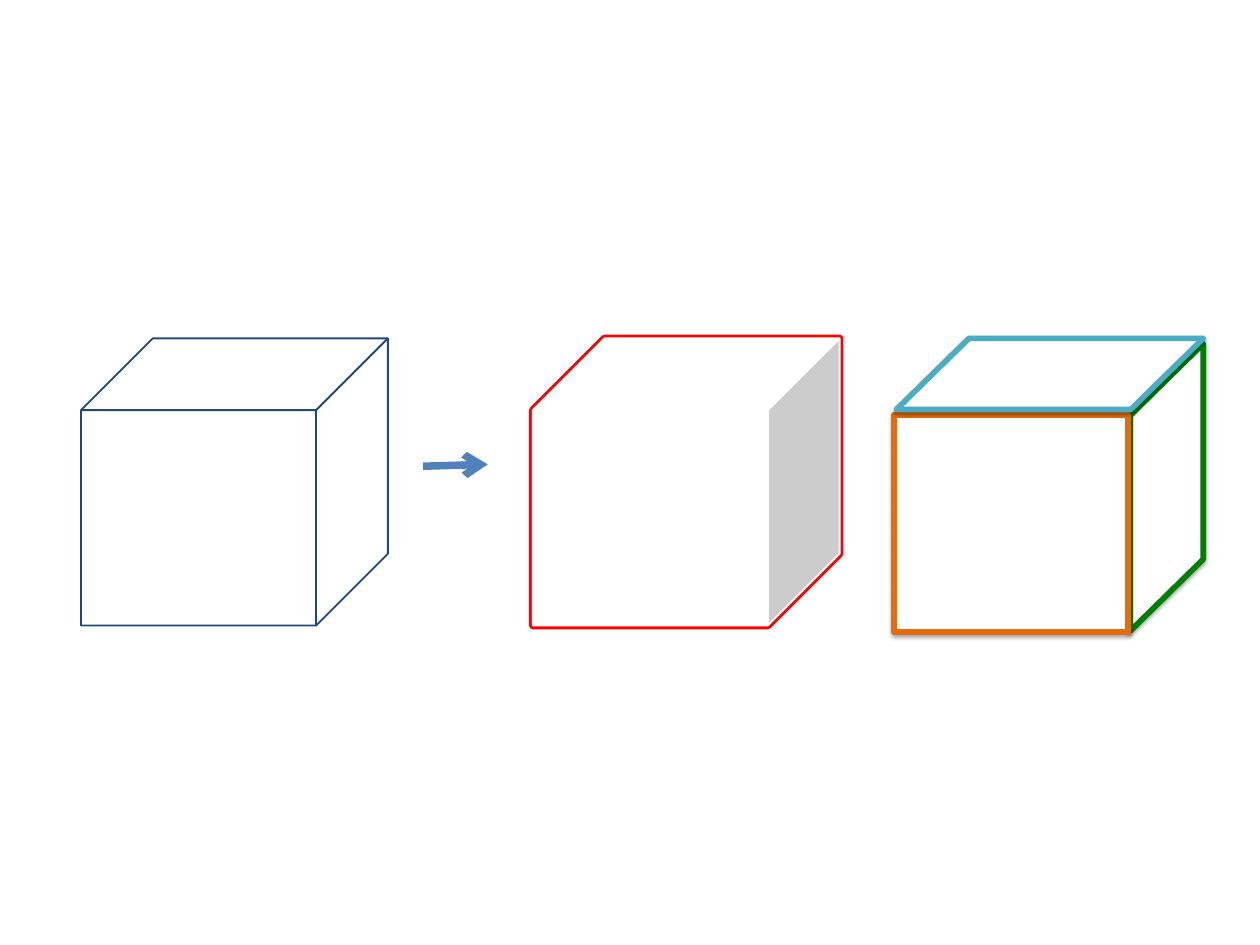
from dataclasses import dataclass

from lxml.etree import SubElement
from pptx import Presentation
from pptx.dml.color import RGBColor
from pptx.enum.shapes import MSO_CONNECTOR, MSO_SHAPE
from pptx.oxml.ns import qn
from pptx.shapes.group import GroupShape
from pptx.util import Pt


@dataclass(frozen=True)
class Theme:
    white: str = "FFFFFF"
    outline: str = "FF0000"
    side: str = "008000"
    front: str = "E46C0A"
    top: str = "4BACC6"
    wire: str = "1F497D"
    arrow: str = "4F81BD"
    shadow: str = "000000"
    thin: float = 1.5
    medium: float = 4.5
    thick: float = 6


@dataclass(frozen=True)
class Face:
    preset: MSO_SHAPE
    left: float
    top: float
    width: float
    height: float
    line: str
    weight: float
    filled: bool = True
    shadowed: bool = False
    slant: float | None = None
    rotation: float = 0
    flipped: bool = False


THEME = Theme()
CUBE_TOP, CUBE_WIDTH, CUBE_HEIGHT = 270.7, 245.5, 229.7


def cube(left: float, line: str, weight: float, filled: bool) -> Face:
    return Face(MSO_SHAPE.CUBE, left, CUBE_TOP, CUBE_WIDTH, CUBE_HEIGHT, line, weight, filled)


def add_shadow(properties) -> None:
    effects = properties.find(qn("a:effectLst"))
    shadow = SubElement(effects, qn("a:outerShdw"), blurRad=str(Pt(3.1)),
                        dist=str(Pt(1.8)), dir="5400000", rotWithShape="0")
    color = SubElement(shadow, qn("a:srgbClr"), val=THEME.shadow)
    SubElement(color, qn("a:alpha"), val="35000")


def draw_face(group: GroupShape, face: Face) -> None:
    shape = group.shapes.add_shape(face.preset, Pt(face.left), Pt(face.top),
                                   Pt(face.width), Pt(face.height))
    shape.rotation = face.rotation
    shape.shadow.inherit = False
    if face.filled:
        shape.fill.solid()
        shape.fill.fore_color.rgb = RGBColor.from_string(THEME.white)
    else:
        shape.fill.background()
    shape.line.color.rgb = RGBColor.from_string(face.line)
    shape.line.width = Pt(face.weight)
    if face.slant is not None:
        shape.adjustments[0] = face.slant
    properties = shape._element.spPr
    if face.flipped:
        properties.find(qn("a:xfrm")).set("flipH", "1")
    if face.shadowed:
        add_shadow(properties)


def draw_arrow(group: GroupShape) -> None:
    arrow = group.shapes.add_connector(MSO_CONNECTOR.STRAIGHT, Pt(338.4), Pt(373),
                                       Pt(390.2), Pt(371.5))
    arrow.line.color.rgb = RGBColor.from_string(THEME.arrow)
    arrow.line.width = Pt(THEME.thick)
    properties = arrow._element.spPr
    SubElement(properties.find(qn("a:ln")), qn("a:tailEnd"), type="arrow")
    SubElement(properties, qn("a:effectLst"))


FACES = [
    cube(426.2, THEME.outline, THEME.thick, False),
    Face(MSO_SHAPE.PARALLELOGRAM, 818.6, 360.7, CUBE_HEIGHT, 58.3, THEME.side, THEME.medium,
         shadowed=True, slant=0.983, rotation=270, flipped=True),
    Face(MSO_SHAPE.RECTANGLE, 715, 331.9, 187.2, 173.5, THEME.front, THEME.medium, shadowed=True),
    Face(MSO_SHAPE.PARALLELOGRAM, 717.1, CUBE_TOP, CUBE_WIDTH, 56.9, THEME.top, THEME.medium,
         shadowed=True, slant=1.02),
    cube(426.2, THEME.white, THEME.thin, True),
    cube(64.8, THEME.wire, THEME.thin, False),
]

deck = Presentation()
deck.slide_width, deck.slide_height = Pt(1008), Pt(756)
page = deck.slides.add_slide(deck.slide_layouts[6])
diagram = page.shapes.add_group_shape()
for item in FACES:
    draw_face(diagram, item)
draw_arrow(diagram)
deck.save("out.pptx")
